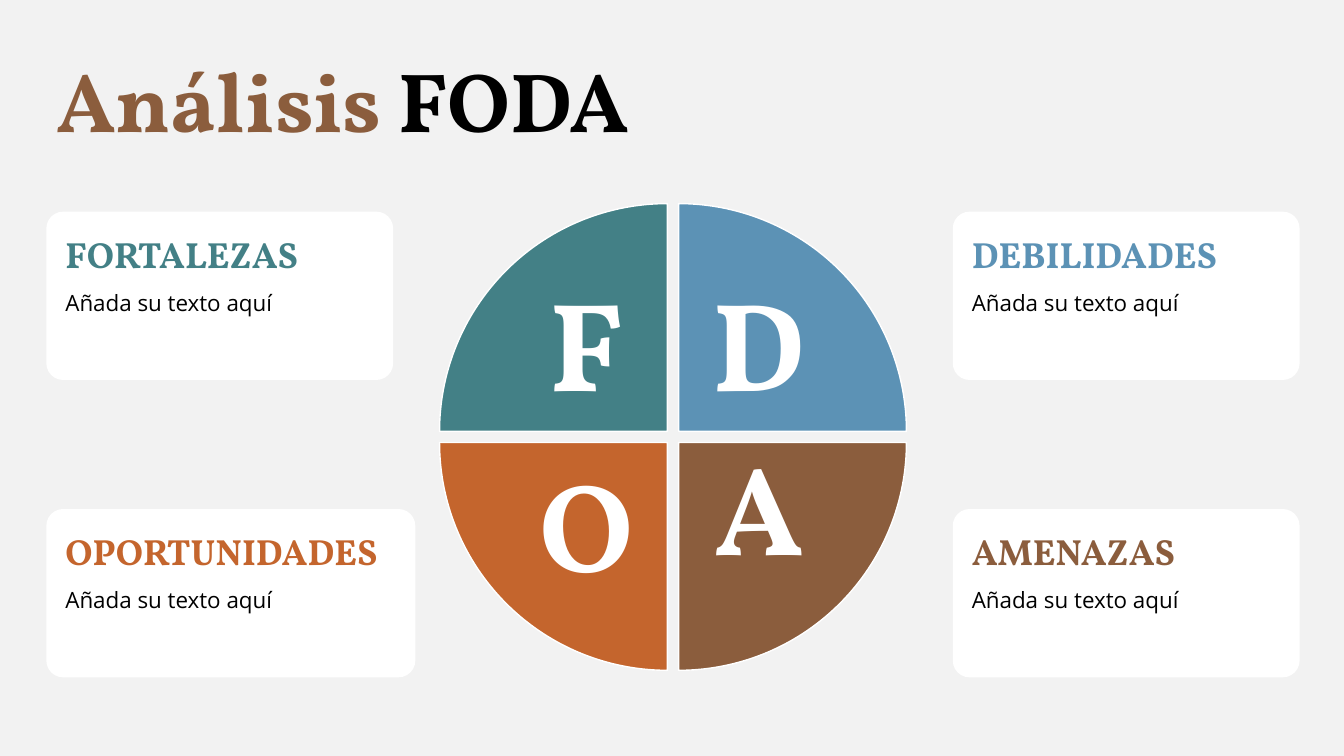
from dataclasses import dataclass

from pptx import Presentation
from pptx import util as u
from pptx.dml.color import RGBColor
from pptx.enum import shapes, text


@dataclass(frozen=True)
class Theme:
    background: str = "F2F2F2"
    white: str = "FFFFFF"
    black: str = "000000"
    teal: str = "438086"
    blue: str = "5C92B5"
    orange: str = "C4652D"
    brown: str = "8B5D3D"
    serif: str = "Vollkorn"
    sans: str = "Open Sans"
    title: int = 60
    heading: int = 26
    body: int = 16
    letter: int = 90


T = Theme()


def style(font, name, size, color, bold=True):
    font.name, font.size, font.bold = name, u.Pt(size), bold
    font.color.rgb = RGBColor.from_string(color)


def add_filled(kind, left, top, width, height, fill, inset_x, inset_y):
    sp = s.shapes.add_shape(kind, u.Inches(left), u.Inches(top), u.Inches(width), u.Inches(height))
    sp.shadow.inherit = False
    sp.fill.solid()
    sp.fill.fore_color.rgb = RGBColor.from_string(fill)
    tf = sp.text_frame
    tf.word_wrap = True
    tf.margin_left = tf.margin_right = u.Inches(inset_x)
    tf.margin_top = tf.margin_bottom = u.Inches(inset_y)
    return sp


prs = Presentation()
prs.slide_width, prs.slide_height = u.Inches(13.33), u.Inches(7.5)
s = prs.slides.add_slide(prs.slide_layouts[6])
s.background.fill.solid()
s.background.fill.fore_color.rgb = RGBColor.from_string(T.background)

# Title
tf = s.shapes.add_textbox(u.Inches(0.46), u.Inches(0.55), u.Inches(10.01), u.Inches(1)).text_frame
tf.word_wrap = True
p = tf.paragraphs[0]
p.line_spacing = 0.9
for words, color in (("Análisis", T.brown), (" FODA", T.black)):
    r = p.add_run()
    r.text = words
    style(r.font, T.serif, T.title, color)

# Cards: heading, colour, left, top, width
cards = [
    ("FORTALEZAS", T.teal, 0.46, 2.1, 3.44),
    ("DEBILIDADES", T.blue, 9.45, 2.1, 3.44),
    ("OPORTUNIDADES", T.orange, 0.46, 5.05, 3.66),
    ("AMENAZAS", T.brown, 9.45, 5.05, 3.44),
]
for heading, color, left, top, width in cards:
    sp = add_filled(shapes.MSO_SHAPE.ROUNDED_RECTANGLE, left, top, width, 1.67, T.white, 0.14, 0.2)
    sp.adjustments[0] = 0.1
    sp.line.fill.background()
    tf = sp.text_frame
    tf.vertical_anchor = text.MSO_ANCHOR.TOP
    tf.text = f"{heading}\nAñada su texto aquí"
    for p in tf.paragraphs:
        p.alignment = text.PP_ALIGN.LEFT
        p.line_spacing = 0.9
    head, body = tf.paragraphs
    style(head.font, T.serif, T.heading, color)
    style(body.font, T.sans, T.body, T.black, bold=False)
    body.space_before = u.Pt(11.3)

# Wheel: each wedge is turned a further 90 degrees, its letter is turned back upright
wheel_left, wheel_top, wedge, step = 4.36, 2.02, 2.26, 2.37
wedges = [
    ("F", T.teal, 0, 0, text.MSO_ANCHOR.MIDDLE, {}),
    ("D", T.blue, 1, 0, text.MSO_ANCHOR.MIDDLE, {"vert": "vert270"}),
    ("A", T.brown, 1, 1, text.MSO_ANCHOR.BOTTOM, {"rot": "10800000"}),
    ("O", T.orange, 0, 1, text.MSO_ANCHOR.TOP, {"vert": "vert"}),
]
for i, (letter, color, col, row, anchor, turn) in enumerate(wedges):
    sp = add_filled(shapes.MSO_SHAPE.PIE_WEDGE, wheel_left + col * step, wheel_top + row * step,
                    wedge, wedge, color, 0.21, 0.21)
    sp.rotation = 90 * i
    sp.line.color.rgb = RGBColor.from_string(T.white)
    sp.line.width = u.Pt(1)
    tf = sp.text_frame
    tf.vertical_anchor = anchor
    for key, value in turn.items():
        tf._txBody.bodyPr.set(key, value)
    p = tf.paragraphs[0]
    p.text = letter
    p.alignment = text.PP_ALIGN.CENTER
    p.line_spacing = 0.9
    style(p.font, T.serif, T.letter, T.white)

prs.save("out.pptx")
